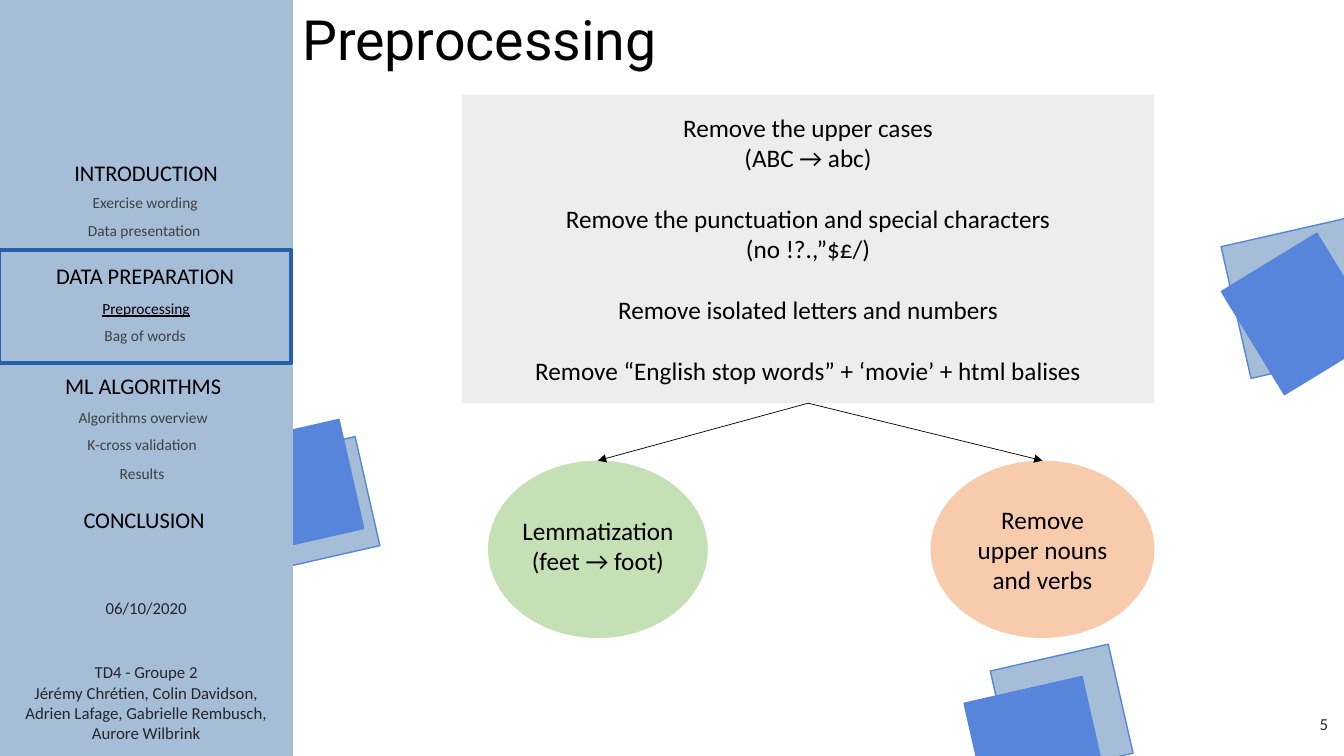
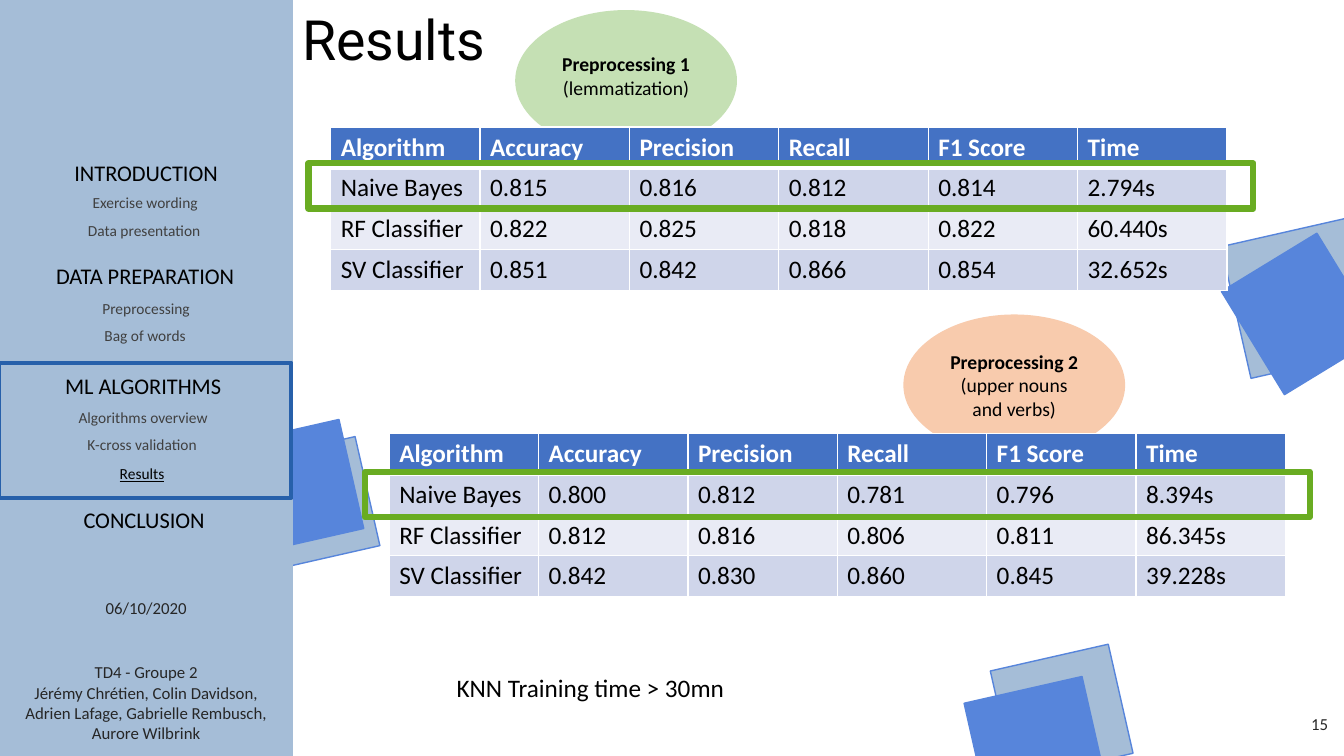
from lxml import etree
from pptx import Presentation
from pptx import util as u
from pptx.dml.color import RGBColor
from pptx.enum import shapes, text
from pptx.oxml.ns import qn

COLORS = {
    "sidebar": "A5BDD7", "accent": "5785DB", "section": "2760AA",
    "black": "000000", "white": "FFFFFF", "credit": "262626", "entry": "404040",
    "panel": "EDEDED", "green": "C5E0B4", "orange": "F8CBAD", "best": "69AC22",
    "header": "4472C4", "band_dark": "CFD5EA", "band_light": "E9EBF5",
}
LEFT, CENTER, RIGHT = text.PP_ALIGN.LEFT, text.PP_ALIGN.CENTER, text.PP_ALIGN.RIGHT
TOP, MIDDLE = text.MSO_ANCHOR.TOP, text.MSO_ANCHOR.MIDDLE
RECTANGLE, OVAL = shapes.MSO_SHAPE.RECTANGLE, shapes.MSO_SHAPE.OVAL

SIDEBAR_WIDTH = 2.9
TILT = 347.2
# left, top, width, height, rotation, fill
BACK_SQUARES = [
    (9.93, 6.51, 1.2, 1.11, TILT, "sidebar"),
    (12.24, 2.26, 1.54, 1.34, TILT, "sidebar"),
    (2.46, 4.45, 1.2, 1.11, TILT, "sidebar"),
    (2.3, 4.28, 1.2, 1.11, TILT, "accent"),
]
FRONT_SQUARES = [
    (12.3, 2.56, 1.2, 1.11, 58.6, "accent"),
    (9.67, 6.83, 1.2, 1.11, TILT, "accent"),
]
# text, left, top
SECTIONS = [
    ("INTRODUCTION", 0, 1.53),
    ("DATA PREPARATION", -0.01, 2.55),
    ("ML ALGORITHMS", -0.03, 3.64),
    ("CONCLUSION", -0.02, 4.97),
]
ENTRIES = [
    ("Exercise wording", -0.01, 1.87),
    ("Data presentation", -0.02, 2.14),
    ("Preprocessing", 0, 2.92),
    ("Bag of words", -0.01, 3.19),
    ("Algorithms overview", -0.03, 4),
    ("K-cross validation", -0.04, 4.27),
    ("Results", -0.04, 4.56),
]
CREDIT = ("TD4 - Groupe 2\nJérémy Chrétien, Colin Davidson, "
          "Adrien Lafage, Gabrielle Rembusch, Aurore Wilbrink")


def rgb(name):
    return RGBColor.from_string(COLORS[name])


def write_text(frame, content, size=18, color="black", font="Calibri", align=LEFT,
               anchor=TOP, bold_lines=0, underline=False, gap=0, spacing=None,
               insets=(0.1, 0.05, 0.1, 0.05)):
    """Fill a text frame: newlines part paragraphs, the first bold_lines are bold."""
    frame.word_wrap = True
    frame.vertical_anchor = anchor
    (frame.margin_left, frame.margin_top,
     frame.margin_right, frame.margin_bottom) = map(u.Inches, insets)
    frame.text = content
    for index, paragraph in enumerate(frame.paragraphs):
        paragraph.alignment = align
        paragraph.space_before = u.Pt(gap if index else 0)
        if spacing:
            paragraph.line_spacing = spacing
        for run in paragraph.runs:
            run.font.name = font
            run.font.size = u.Pt(size)
            run.font.bold = index < bold_lines
            run.font.underline = underline
            run.font.color.rgb = rgb(color)


def set_borders(cell, color, **widths):
    """Draw cell borders; widths in points by side: L, R, T, B."""
    properties = cell._tc.get_or_add_tcPr()
    for side, width in widths.items():
        line = etree.SubElement(properties, qn(f"a:ln{side}"), w=str(u.Pt(width)))
        fill = etree.SubElement(line, qn("a:solidFill"))
        etree.SubElement(fill, qn("a:srgbClr"), val=COLORS[color])


class Deck:
    def __init__(self):
        self.presentation = Presentation()
        self.presentation.slide_width = u.Inches(13.33)
        self.presentation.slide_height = u.Inches(7.5)
        self.slide = None

    def shape(self, kind, left, top, width, height, fill=None, line=None,
              line_width=1, rotation=0, content=None, **style):
        shape = self.slide.shapes.add_shape(
            kind, *map(u.Inches, (left, top, width, height)))
        shape.shadow.inherit = False
        shape.rotation = rotation
        if fill:
            shape.fill.solid()
            shape.fill.fore_color.rgb = rgb(fill)
        else:
            shape.fill.background()
        if line:
            shape.line.color.rgb = rgb(line)
            shape.line.width = u.Pt(line_width)
        else:
            shape.line.fill.background()
        if content:
            write_text(shape.text_frame, content, align=CENTER, anchor=MIDDLE, **style)
        return shape

    def textbox(self, content, left, top, width, height, **style):
        box = self.slide.shapes.add_textbox(*map(u.Inches, (left, top, width, height)))
        write_text(box.text_frame, content, **style)

    def squares(self, squares):
        for left, top, width, height, rotation, fill in squares:
            self.shape(RECTANGLE, left, top, width, height, fill=fill,
                       line="accent", rotation=rotation)

    def menu(self, current, frame_top, frame_height):
        """List the sections, underline the current entry and frame its section."""
        for label, left, top in SECTIONS:
            self.textbox(label, left, top, SIDEBAR_WIDTH, 0.37, size=16, align=CENTER)
        for label, left, top in ENTRIES:
            active = label == current
            self.textbox(label, left, top, SIDEBAR_WIDTH, 0.29, size=11, align=CENTER,
                         color="black" if active else "entry", underline=active)
        self.shape(RECTANGLE, -0.01, frame_top, SIDEBAR_WIDTH, frame_height,
                   line="section", line_width=3)

    def new_slide(self, title, number, frame_top, frame_height):
        """Start a slide with its sidebar, decoration, title and footers."""
        self.slide = self.presentation.slides.add_slide(
            self.presentation.slide_layouts[6])
        self.squares(BACK_SQUARES)
        self.shape(RECTANGLE, 0, 0, SIDEBAR_WIDTH, 7.5, fill="sidebar", line="sidebar")
        self.squares(FRONT_SQUARES)
        self.menu(title, frame_top, frame_height)
        small = {"size": 12, "color": "credit"}
        self.textbox(CREDIT, 0, 6.52, SIDEBAR_WIDTH, 0.91, align=CENTER, **small)
        self.textbox("06/10/2020", 0, 5.83, SIDEBAR_WIDTH, 0.4, align=CENTER,
                     anchor=MIDDLE, **small)
        self.textbox(str(number), 10.27, 6.98, 3, 0.4, align=RIGHT,
                     anchor=MIDDLE, **small)
        self.textbox(title, SIDEBAR_WIDTH, 0.14, 7.63, 0.57, size=39.6, font="Roboto",
                     anchor=MIDDLE, spacing=0.9)

    def arrow(self, start, end):
        """Point from the bottom of one shape to the top of another."""
        connector = self.slide.shapes.add_connector(
            shapes.MSO_CONNECTOR.STRAIGHT, 0, 0, 0, 0)
        connector.begin_connect(start, 2)
        connector.end_connect(end, 0)
        connector.line.color.rgb = rgb("black")
        connector.line.width = u.Pt(0.5)
        properties = connector.element.spPr
        etree.SubElement(properties.find(qn("a:ln")), qn("a:tailEnd"), type="triangle")
        etree.SubElement(properties, qn("a:effectLst"))

    def score_table(self, left, top, scores):
        header = ["Algorithm", "Accuracy", "Precision", "Recall", "F1 Score", "Time"]
        rows = [header] + scores
        table = self.slide.shapes.add_table(
            len(rows), len(header), u.Inches(left), u.Inches(top),
            u.Inches(8.89), u.Inches(1.62)).table
        table.horz_banding = False
        for row_index, row in enumerate(rows):
            is_header = row_index == 0
            band = "band_dark" if row_index % 2 else "band_light"
            for column_index, value in enumerate(row):
                cell = table.cell(row_index, column_index)
                set_borders(cell, "white", L=1, R=1, T=3 if row_index == 1 else 1,
                            B=3 if is_header else 1)
                cell.fill.solid()
                cell.fill.fore_color.rgb = rgb("header" if is_header else band)
                write_text(cell.text_frame, value, bold_lines=int(is_header),
                           color="white" if is_header else "black")

    def best_row(self, left, top):
        self.shape(RECTANGLE, left, top, 9.37, 0.45, line="best", line_width=4.5)


def preprocessing_slide(deck):
    deck.new_slide("Preprocessing", 5, 2.48, 1.12)
    steps = deck.shape(
        RECTANGLE, 4.58, 0.94, 6.87, 3.06, fill="panel", gap=22,
        content="Remove the upper cases\v(ABC → abc)\n"
                "Remove the punctuation and special characters\v(no !?.,”$£/)\n"
                "Remove isolated letters and numbers\n"
                "Remove “English stop words” + ‘movie’ + html balises")
    lemmatization = deck.shape(OVAL, 4.84, 4.57, 2.18, 1.76, fill="green",
                               content="Lemmatization\n(feet → foot)",
                               insets=(0, 0, 0, 0.07))
    removal = deck.shape(OVAL, 9.23, 4.57, 2.22, 1.76, fill="orange",
                         content="Remove upper nouns and verbs")
    for option in (lemmatization, removal):
        deck.arrow(steps, option)


def results_slide(deck):
    deck.new_slide("Results", 15, 3.6, 1.34)
    deck.shape(OVAL, 8.96, 3.12, 2.2, 1.4, fill="orange", size=14, bold_lines=1,
               content="Preprocessing 2\n(upper nouns and verbs)")
    deck.shape(OVAL, 5.11, 0.1, 2.2, 1.4, fill="green", size=14, bold_lines=1,
               content="Preprocessing 1\n(lemmatization)", insets=(0, 0, 0, 0.1))
    deck.score_table(3.28, 1.26, [
        ["Naive Bayes", "0.815", "0.816", "0.812", "0.814", "2.794s"],
        ["RF Classifier", "0.822", "0.825", "0.818", "0.822", "60.440s"],
        ["SV Classifier", "0.851", "0.842", "0.866", "0.854", "32.652s"],
    ])
    deck.score_table(3.86, 4.3, [
        ["Naive Bayes", "0.800", "0.812", "0.781", "0.796", "8.394s"],
        ["RF Classifier", "0.812", "0.816", "0.806", "0.811", "86.345s"],
        ["SV Classifier", "0.842", "0.830", "0.860", "0.845", "39.228s"],
    ])
    deck.best_row(3.06, 1.62)
    deck.best_row(3.62, 4.68)
    deck.textbox("KNN Training time > 30mn", 4.43, 6.62, 7.2, 0.4)


def main():
    deck = Deck()
    preprocessing_slide(deck)
    results_slide(deck)
    deck.presentation.save("out.pptx")


if __name__ == "__main__":
    main()
